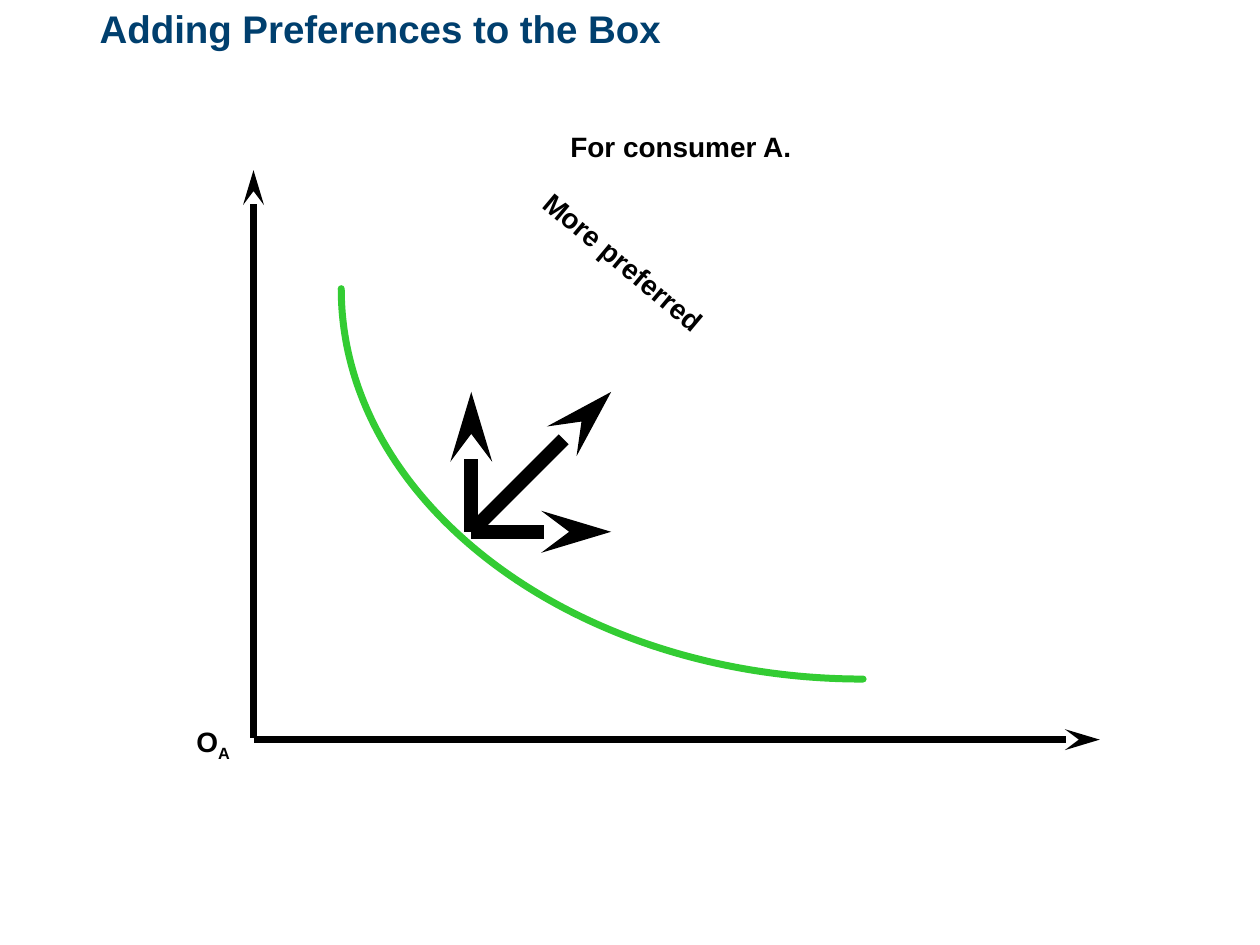
"""Draw consumer A's indifference curve with its directions of preference."""
from dataclasses import dataclass

from lxml import etree
from pptx import Presentation
from pptx.dml.color import RGBColor
from pptx.enum.dml import MSO_THEME_COLOR
from pptx.enum.shapes import MSO_CONNECTOR
from pptx.enum.text import MSO_ANCHOR
from pptx.oxml.ns import qn
from pptx.slide import Slide
from pptx.util import Cm, Pt

STRAIGHT = MSO_CONNECTOR.STRAIGHT
TOP = MSO_ANCHOR.TOP
NAVY = RGBColor(0x00, 0x3F, 0x6E)
BLACK = RGBColor(0x00, 0x00, 0x00)
GREEN = RGBColor(0x33, 0xCC, 0x33)
FONT = "Arial"
QUARTER_ARC = 0.55


@dataclass(frozen=True)
class Label:
    text: str
    left: float
    top: float
    width: float
    height: float = 1.6
    subscript: str = ""
    rotation: float = 0
    size: float = 16
    color: RGBColor = BLACK
    inset_x: float = 0.25
    inset_y: float = 0.13


@dataclass(frozen=True)
class Arrow:
    start: tuple[float, float]
    end: tuple[float, float]
    weight: float


BUNDLE = (9.5, 10.72)
REACH = 2.82

LABELS = (
    Label("Adding Preferences to the Box", 2.01, 0.1, 16.51, 2.34,
          size=22, color=NAVY, inset_x=0, inset_y=0),
    Label("More preferred", 9.65, 6.02, 8.48, rotation=40),
    Label("For consumer A.", 11.25, 2.49, 9.47),
    Label("O", 3.71, 14.48, 1.93, subscript="A"),
)
AXES = (
    Arrow((5.11, 14.88), (5.11, 3.43), 4),
    Arrow((5.13, 14.91), (22.17, 14.91), 4),
)
PREFERENCES = tuple(
    Arrow(BUNDLE, (BUNDLE[0] + REACH * right, BUNDLE[1] - REACH * up), 8)
    for right, up in ((0, 1), (1, 0), (1, 1))
)


def add_label(slide: Slide, label: Label) -> None:
    """Add one bold text box, with an optional subscript run."""
    box = slide.shapes.add_textbox(
        Cm(label.left), Cm(label.top), Cm(label.width), Cm(label.height))
    box.rotation = label.rotation
    frame = box.text_frame
    frame.word_wrap = True
    frame.vertical_anchor = TOP
    frame.margin_left = frame.margin_right = Cm(label.inset_x)
    frame.margin_top = frame.margin_bottom = Cm(label.inset_y)
    for text, baseline in ((label.text, 0), (label.subscript, -25000)):
        if not text:
            continue
        run = frame.paragraphs[0].add_run()
        run.text = text
        run.font.name = FONT
        run.font.size = Pt(label.size)
        run.font.bold = True
        run.font.color.rgb = label.color
        if baseline:
            run.font._element.set("baseline", str(baseline))


def add_arrow(slide: Slide, arrow: Arrow) -> None:
    """Add a straight black line with a long stealth head at its end."""
    line = slide.shapes.add_connector(
        STRAIGHT, *map(Cm, arrow.start), *map(Cm, arrow.end))
    line.line.color.rgb = BLACK
    line.line.width = Pt(arrow.weight)
    etree.SubElement(line.line._get_or_add_ln(), qn("a:tailEnd"),
                     type="stealth", w="med", len="lg")
    etree.SubElement(line._element.spPr, qn("a:effectLst"))


def add_indifference_curve(
        slide: Slide, left: float, top: float, width: float, height: float) -> None:
    """Add a quarter ellipse falling from top left to bottom right."""
    across, down = Cm(width), Cm(height)
    builder = slide.shapes.build_freeform(0, 0)
    builder.add_line_segments([(across, down)], close=False)
    curve = builder.convert_to_shape(Cm(left), Cm(top))
    segment = next(curve._element.iter(qn("a:lnTo")))
    bezier = etree.Element(qn("a:cubicBezTo"))
    controls = ((0, down * QUARTER_ARC), (across * (1 - QUARTER_ARC), down), (across, down))
    for x, y in controls:
        etree.SubElement(bezier, qn("a:pt"), x=str(round(x)), y=str(round(y)))
    segment.getparent().replace(segment, bezier)
    curve.shadow.inherit = False
    curve.fill.background()
    curve.line.color.rgb = GREEN
    curve.line.width = Pt(4)
    curve.line._get_or_add_ln().set("cap", "rnd")


def main() -> None:
    """Build and save the slide."""
    deck = Presentation()
    deck.slide_width, deck.slide_height = Cm(25.4), Cm(19.05)
    slide = deck.slides.add_slide(deck.slide_layouts[6])
    for arrow in AXES + PREFERENCES:
        add_arrow(slide, arrow)
    for label in LABELS:
        add_label(slide, label)
    add_indifference_curve(slide, 6.88, 5.82, 10.52, 7.87)
    deck.save("out.pptx")


if __name__ == "__main__":
    main()
